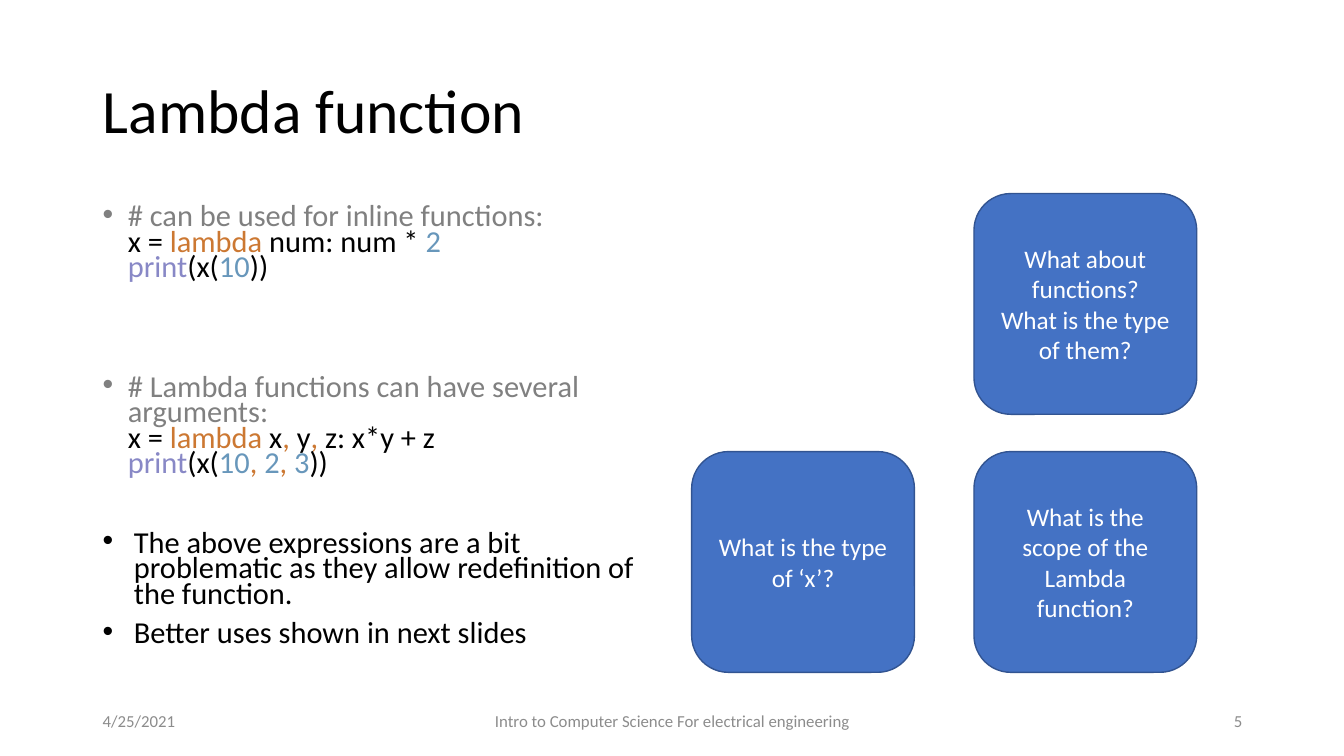
from pptx import Presentation
from pptx.dml.color import RGBColor
from pptx.enum.shapes import MSO_SHAPE
from pptx.enum.text import MSO_ANCHOR, PP_ALIGN
from pptx.oxml.ns import qn
from pptx.util import Pt
from lxml.etree import SubElement

PX = 9144  # 100 px to the inch
THEME = {
    "font": "Calibri",
    "title": 44, "body": 21.7, "card": 18, "foot": 12,
    "text": "000000", "note": "808080", "key": "CC7832",
    "num": "6897BB", "call": "8888C6", "grey": "8C8C8C",
    "white": "FFFFFF", "fill": "4472C4", "edge": "325491",
}


def style(run, size, color):
    run.font.name = THEME["font"]
    run.font.size = Pt(THEME[size])
    run.font.color.rgb = RGBColor.from_string(THEME[color])


def place(*box):
    """Turn px lengths into EMU."""
    return [n * PX for n in box]


deck = Presentation()
deck.slide_width, deck.slide_height = place(1333, 750)
slide = deck.slides.add_slide(deck.slide_layouts[5])
shapes = slide.shapes

# Title
title = shapes.title
title.left, title.top, title.width, title.height = place(92, 40, 1150, 145)
title.text_frame.text = "Lambda function"
title.text_frame.vertical_anchor = MSO_ANCHOR.MIDDLE
head = title.text_frame.paragraphs[0]
head.alignment = PP_ALIGN.LEFT
head.line_spacing = 0.9
style(head.runs[0], "title", "text")

# Bullets: space before in points, indent in px, lines of (colour, text)
BULLETS = [
    (10, 25, [
        [("note", "# can be used for inline functions:")],
        [("text", "x = "), ("key", "lambda "), ("text", "num: num * "),
         ("num", "2")],
        [("call", "print"), ("text", "(x("), ("num", "10"), ("text", "))")],
    ]),
    (67, 25, [
        [("note", "# Lambda functions can have several arguments:")],
        [("text", "x = "), ("key", "lambda "), ("text", "x"), ("key", ", "),
         ("text", "y"), ("key", ", "), ("text", "z: x*y + z")],
        [("call", "print"), ("text", "(x("), ("num", "10"), ("key", ", "),
         ("num", "2"), ("key", ", "), ("num", "3"), ("text", "))")],
    ]),
    (38.5, 31, [[("text", "The above expressions are a bit problematic as "
                          "they allow redefinition of the function.")]]),
    (10, 31, [[("text", "Better uses shown in next slides")]]),
]
body = shapes.add_textbox(*place(92, 200, 567, 476)).text_frame
body.word_wrap = True
for i, (gap, dent, lines) in enumerate(BULLETS):
    para = body.add_paragraph() if i else body.paragraphs[0]
    para.line_spacing = 0.7
    para.space_before = Pt(gap)
    props = para._p.get_or_add_pPr()
    props.set("marL", str(dent * PX))
    props.set("indent", str(-dent * PX))
    SubElement(props, qn("a:buFont")).set("typeface", "Arial")
    SubElement(props, qn("a:buChar")).set("char", "•")
    for j, line in enumerate(lines):
        if j:
            para.add_line_break()
        for color, text in line:
            run = para.add_run()
            run.text = text
            style(run, "body", color)

# Footer
FOOT = [
    (92, 300, PP_ALIGN.LEFT, "4/25/2021"),
    (442, 450, PP_ALIGN.CENTER,
     "Intro to Computer Science For electrical engineering"),
    (942, 300, PP_ALIGN.RIGHT, "5"),
]
for left, width, align, text in FOOT:
    frame = shapes.add_textbox(*place(left, 695, width, 40)).text_frame
    frame.word_wrap = True
    frame.vertical_anchor = MSO_ANCHOR.MIDDLE
    frame.text = text
    frame.paragraphs[0].alignment = align
    style(frame.paragraphs[0].runs[0], "foot", "grey")

# Question cards on a grid: column, row, text
CARDS = [
    (1, 1, "What is the scope of the Lambda function?"),
    (0, 1, "What is the type of ‘x’?"),
    (1, 0, "What about functions?\nWhat is the type of them?"),
]
for col, row, text in CARDS:
    card = shapes.add_shape(
        MSO_SHAPE.ROUNDED_RECTANGLE,
        *place(686 + 280 * col, 192 + 256 * row, 221, 219))
    card.shadow.inherit = False
    card.fill.solid()
    card.fill.fore_color.rgb = RGBColor.from_string(THEME["fill"])
    card.line.color.rgb = RGBColor.from_string(THEME["edge"])
    card.line.width = Pt(1)
    frame = card.text_frame
    frame.word_wrap = True
    frame.vertical_anchor = MSO_ANCHOR.MIDDLE
    frame.text = text
    for para in frame.paragraphs:
        para.alignment = PP_ALIGN.CENTER
        style(para.runs[0], "card", "white")

deck.save("out.pptx")
